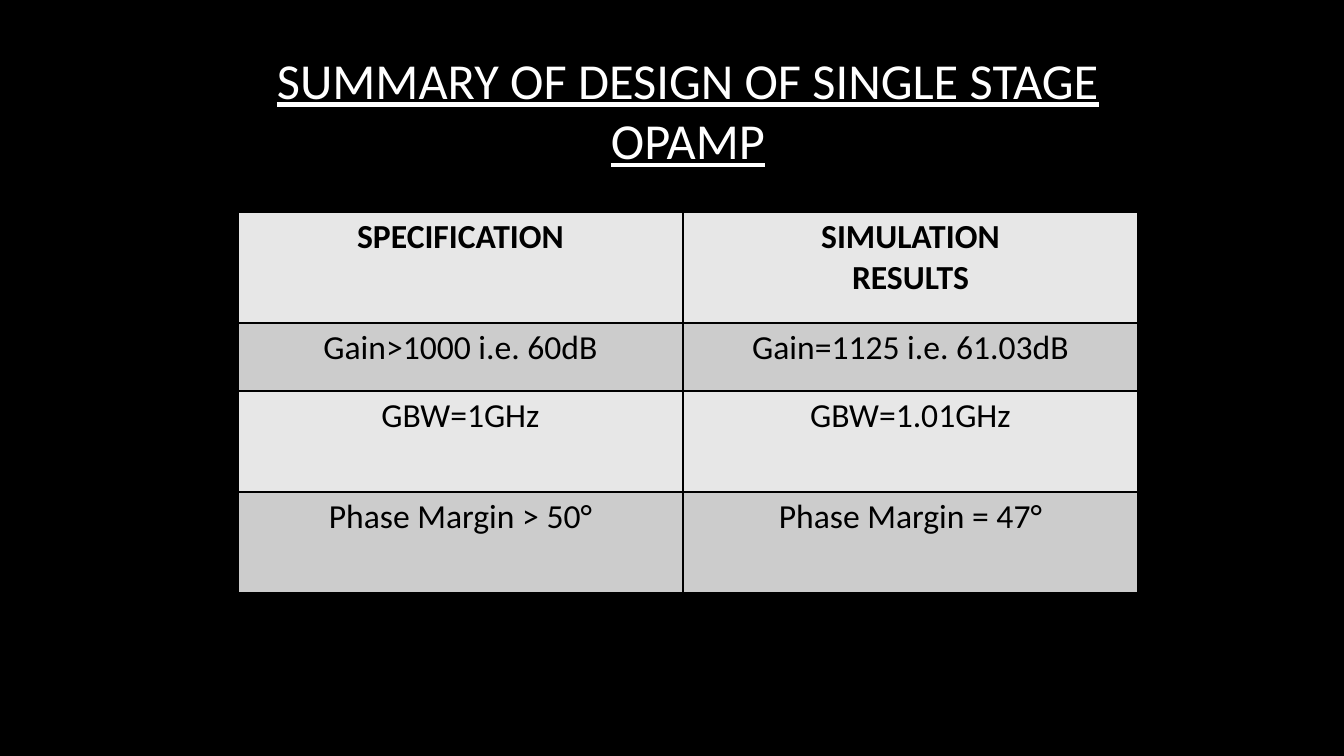
from lxml import etree
from pptx import Presentation
from pptx.dml.color import RGBColor
from pptx.enum.text import MSO_ANCHOR, MSO_AUTO_SIZE, PP_ALIGN
from pptx.oxml.ns import qn
from pptx.util import Emu, Pt

CENTER = PP_ALIGN.CENTER
TOP = MSO_ANCHOR.TOP
GROW = MSO_AUTO_SIZE.SHAPE_TO_FIT_TEXT
TITLE_ONLY = 5
EMU_PER_PX = 914400 / 100.8

COLORS = {
    "background": "000000",
    "title": "FFFFFF",
    "text": "000000",
    "border": "000000",
    "light_row": "E7E7E7",
    "dark_row": "CCCCCC",
}
TITLE_FORMAT = {"name": "Calibri", "size": Pt(36), "bold": False, "underline": True}
HEADER_FORMAT = {"name": "Calibri", "size": Pt(24), "bold": True}
BODY_FORMAT = {**HEADER_FORMAT, "bold": False}

TITLE = "SUMMARY OF DESIGN OF SINGLE STAGE OPAMP"
RESULTS = [
    ("SPECIFICATION", "SIMULATION\nRESULTS"),
    ("Gain>1000 i.e. 60dB", "Gain=1125 i.e. 61.03dB"),
    ("GBW=1GHz", "GBW=1.01GHz"),
    ("Phase Margin > 50°", "Phase Margin = 47°"),
]
COLUMN_WIDTHS = [445, 455]
ROW_HEIGHTS = [111, 68, 101, 101]


def px(length):
    return Emu(round(length * EMU_PER_PX))


def color(name):
    return RGBColor.from_string(COLORS[name])


def write_text(text_frame, text, color_name, font_format):
    text_frame.text = text
    for paragraph in text_frame.paragraphs:
        paragraph.alignment = CENTER
        for run in paragraph.runs:
            run.font.color.rgb = color(color_name)
            for attribute, value in font_format.items():
                setattr(run.font, attribute, value)


def add_title(slide, text, left, top, width, height):
    title = slide.shapes.title
    title.left, title.top, title.width, title.height = map(px, (left, top, width, height))
    write_text(title.text_frame, text, "title", TITLE_FORMAT)
    title.text_frame.word_wrap = True
    title.text_frame.auto_size = GROW
    title.text_frame.vertical_anchor = TOP


def set_borders(cell):
    properties = cell._tc.get_or_add_tcPr()
    for index, side in enumerate(("a:lnL", "a:lnR", "a:lnT", "a:lnB")):
        line = etree.Element(qn(side), w=str(Pt(1)))
        fill = etree.SubElement(line, qn("a:solidFill"))
        etree.SubElement(fill, qn("a:srgbClr"), val=COLORS["border"])
        properties.insert(index, line)


def add_results_table(slide, rows, left, top):
    frame = slide.shapes.add_table(
        len(rows), len(COLUMN_WIDTHS), px(left), px(top),
        px(sum(COLUMN_WIDTHS)), px(sum(ROW_HEIGHTS)),
    )
    table = frame.table
    for column, width in zip(table.columns, COLUMN_WIDTHS):
        column.width = px(width)
    for row_index, (row, height, texts) in enumerate(zip(table.rows, ROW_HEIGHTS, rows)):
        row.height = px(height)
        font_format = BODY_FORMAT if row_index else HEADER_FORMAT
        fill_name = "dark_row" if row_index % 2 else "light_row"
        for cell, text in zip(row.cells, texts):
            write_text(cell.text_frame, text, "text", font_format)
            cell.fill.solid()
            cell.fill.fore_color.rgb = color(fill_name)
            set_borders(cell)


def main():
    presentation = Presentation()
    presentation.slide_width = px(1344)
    presentation.slide_height = px(756)
    slide = presentation.slides.add_slide(presentation.slide_layouts[TITLE_ONLY])
    slide.background.fill.solid()
    slide.background.fill.fore_color.rgb = color("background")
    add_results_table(slide, RESULTS, 238, 212)
    add_title(slide, TITLE, 238, 44, 900, 132)
    presentation.save("out.pptx")


if __name__ == "__main__":
    main()
